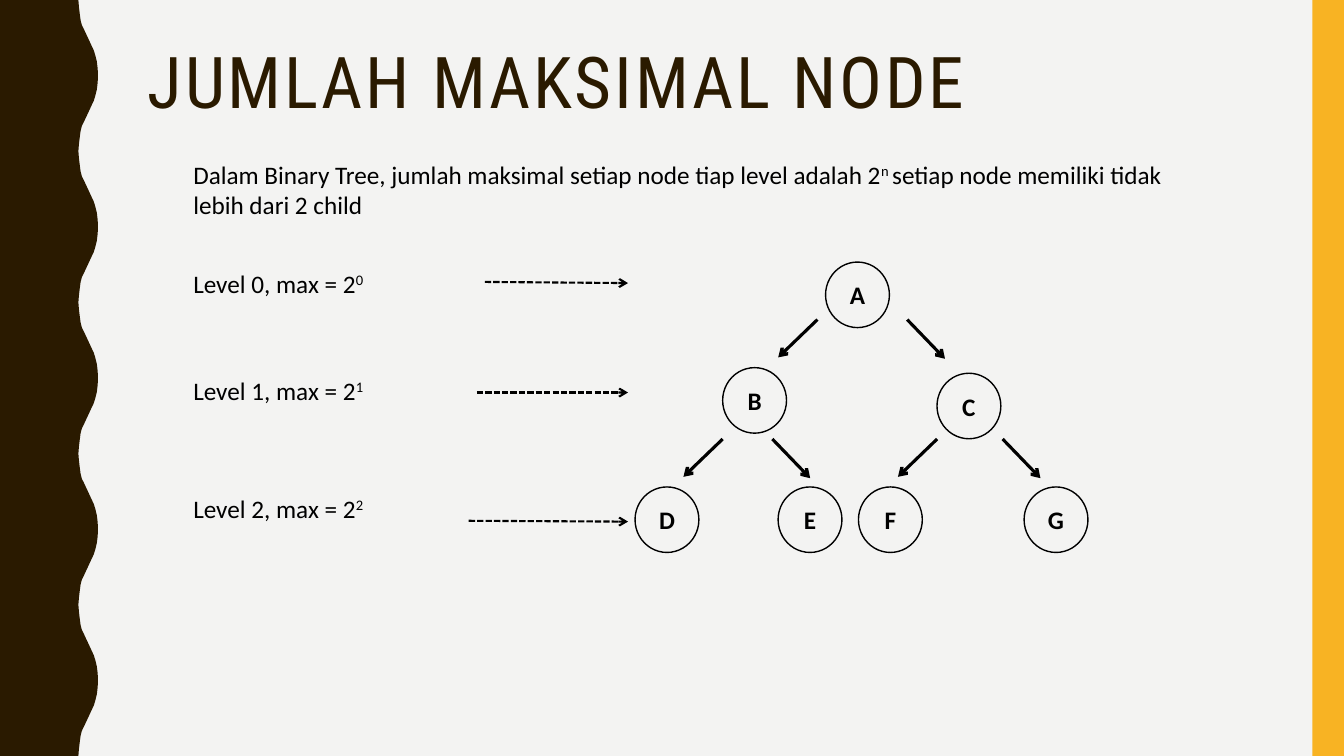
from lxml.etree import SubElement
from pptx import Presentation
from pptx.dml.color import RGBColor
from pptx.enum.dml import MSO_LINE
from pptx.enum.shapes import MSO_CONNECTOR, MSO_SHAPE
from pptx.enum.text import MSO_ANCHOR, PP_ALIGN
from pptx.oxml.ns import qn
from pptx.util import Pt

COLORS = {"paper": "F3F3F2", "brown": "2A1A00", "gold": "F8B323", "ink": "000000"}
WIDTH, HEIGHT = 960, 540

TITLE = "JUMLAH MAKSIMAL NODE"
# Each run is a text and whether it is raised
INTRO = [
    ("Dalam Binary Tree, jumlah maksimal setiap node tiap level adalah 2", False),
    ("n ", True),
    ("setiap node memiliki tidak lebih dari 2 child", False),
]
# Level: top of the label, start and end of its dashed arrow
LEVELS = [
    (187.9, (346.3, 201.4), (448.6, 202.2)),
    (264.2, (340.6, 280.4), (448.6, 280.4)),
    (348.5, (334.8, 372), (448.6, 372.6)),
]
NODE_W, NODE_H = 45.6, 46.8
NODES = {
    "A": (589.7, 187.2), "B": (516.2, 262.6), "C": (669.3, 266.6),
    "D": (453.6, 347.8), "E": (555.8, 347.8),
    "F": (613.2, 347.8), "G": (731.5, 347.8),
}
# Where each branch leaves its parent: to the left child, to the right child
BRANCHES = [
    ((583.9, 228.3), (648, 228.3)),
    ((516.2, 313.6), (551.7, 313.6)),
    ((669.4, 313.6), (716.2, 313.6)),
]
LEFT_STEP, RIGHT_STEP = (-28, 27), (27, 28)

WAVE_PERIOD = 108
HALF_WAVE = [
    (56, 0), (56.4, 5), (57, 10), (57.6, 14.5), (58.5, 18), (60, 21),
    (61.4, 24), (62.8, 27), (64.2, 30), (65.6, 33), (67, 36),
    (68.1, 39.5), (69.2, 44), (69.8, 49), (70, 54),
]


def rgb(name):
    return RGBColor.from_string(COLORS[name])


def paint(sp, fill):
    sp.shadow.inherit = False
    sp.fill.solid()
    sp.fill.fore_color.rgb = rgb(fill)
    sp.line.fill.background()


def add_run(p, text, *, size=18, font="Calibri", color="ink", bold=False,
            raised=False, spacing=0):
    r = p.add_run()
    r.text = text
    r.font.size = Pt(size)
    r.font.name = font
    r.font.bold = bold
    r.font.color.rgb = rgb(color)
    if raised:
        r.font._element.set("baseline", "30000")
    if spacing:
        r.font._element.set("spc", str(spacing * 100))


def add_text(slide, left, top, width, height, runs, **style):
    tf = slide.shapes.add_textbox(Pt(left), Pt(top), Pt(width), Pt(height)).text_frame
    tf.word_wrap = True
    p = tf.paragraphs[0]
    for text, raised in runs:
        add_run(p, text, raised=raised, **style)
    return p


def add_arrow(slide, start, end, width, dash=None):
    line = slide.shapes.add_connector(
        MSO_CONNECTOR.STRAIGHT, *[Pt(v) for v in (*start, *end)])
    line.line.color.rgb = rgb("ink")
    line.line.width = Pt(width)
    if dash:
        line.line.dash_style = dash
    SubElement(line.line._get_or_add_ln(), qn("a:tailEnd"), type="arrow")
    SubElement(line._element.spPr, qn("a:effectLst"))


def add_node(slide, name, left, top):
    sp = slide.shapes.add_shape(
        MSO_SHAPE.OVAL, Pt(left), Pt(top), Pt(NODE_W), Pt(NODE_H))
    sp.shadow.inherit = False
    sp.fill.background()
    sp.line.color.rgb = rgb("ink")
    sp.line.width = Pt(1)
    tf = sp.text_frame
    tf.vertical_anchor = MSO_ANCHOR.MIDDLE
    p = tf.paragraphs[0]
    p.alignment = PP_ALIGN.CENTER
    add_run(p, name, bold=True)


def add_wave(slide):
    """Draw the left band, its edge a half wave mirrored and repeated."""
    back = [(x, WAVE_PERIOD - y) for x, y in reversed(HALF_WAVE[:-1])]
    edge = [(x, y + i * WAVE_PERIOD)
            for i in range(HEIGHT // WAVE_PERIOD) for x, y in HALF_WAVE + back]
    outline = [(Pt(x), Pt(y)) for x, y in edge + [(0, HEIGHT)]]
    builder = slide.shapes.build_freeform(0, 0)
    builder.add_line_segments(outline, close=True)
    paint(builder.convert_to_shape(), "brown")


def main():
    prs = Presentation()
    prs.slide_width, prs.slide_height = Pt(WIDTH), Pt(HEIGHT)
    slide = prs.slides.add_slide(prs.slide_layouts[6])
    slide.background.fill.solid()
    slide.background.fill.fore_color.rgb = rgb("paper")

    add_wave(slide)
    bar_left = 937.5
    bar = slide.shapes.add_shape(
        MSO_SHAPE.RECTANGLE, Pt(bar_left), 0, Pt(WIDTH - bar_left), Pt(HEIGHT))
    paint(bar, "gold")

    title = add_text(slide, 98.6, 30.2, 801.4, 117.4, [(TITLE, False)],
                     size=51, font="Roboto Condensed", color="brown", spacing=2)
    title.line_spacing = 0.9
    add_text(slide, 131, 110.2, 706.3, 51, INTRO)

    for level, (top, start, end) in enumerate(LEVELS):
        runs = [(f"Level {level}, max = 2", False), (str(level), True)]
        add_text(slide, 131, top, 160, 29, runs)
        add_arrow(slide, start, end, 1.5, MSO_LINE.SQUARE_DOT)

    for name, (left, top) in NODES.items():
        add_node(slide, name, left, top)
    for starts in BRANCHES:
        for (x, y), (dx, dy) in zip(starts, (LEFT_STEP, RIGHT_STEP)):
            add_arrow(slide, (x, y), (x + dx, y + dy), 2.25)

    prs.save("out.pptx")


if __name__ == "__main__":
    main()
